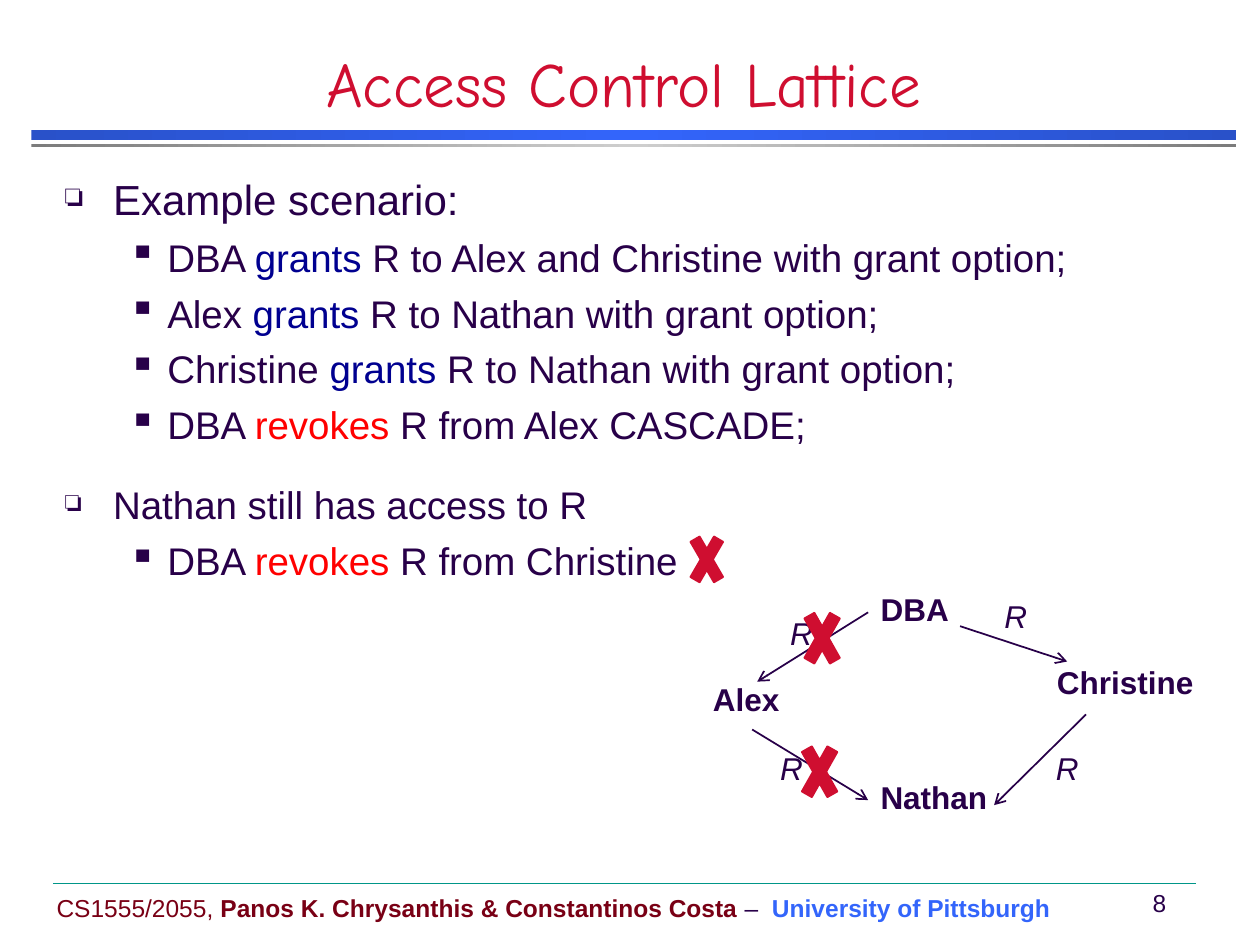
"""Build the Access Control Lattice slide."""
import copy
from dataclasses import dataclass

import lxml.etree
import pptx
import pptx.dml.color
import pptx.enum.dml
import pptx.enum.shapes
import pptx.enum.text
import pptx.oxml.ns
import pptx.util

Inches = pptx.util.Inches
Pt = pptx.util.Pt
ALIGN = pptx.enum.text.PP_ALIGN
ANCHOR = pptx.enum.text.MSO_ANCHOR
SHAPE = pptx.enum.shapes.MSO_SHAPE
qn = pptx.oxml.ns.qn

INK, RED, GRANT, REVOKE = "280049", "CF0E30", "000090", "FF0000"
MAROON, BLUE = "790015", "3365FB"


@dataclass
class Run:
    text: str
    color: str = INK
    bold: bool = False


@dataclass
class Item:
    runs: list[Run]
    level: int = 1
    size: int = 22
    before: float = 5.5


@dataclass
class Label:
    text: str
    left: float
    top: float
    width: float


@dataclass
class Line:
    start: tuple[float, float]
    end: tuple[float, float]
    color: str = INK
    weight: float = 1
    arrow: bool = True


@dataclass
class Rule:
    top: float
    height: float
    edge: str
    middle: str


@dataclass
class Cross:
    left: float
    top: float
    width: float = 0.39
    height: float = 0.69


def rgb(value: str) -> pptx.dml.color.RGBColor:
    return pptx.dml.color.RGBColor.from_string(value)


def add_text(left: float, top: float, width: float, height: float, wrap: bool = False, anchor=ANCHOR.TOP):
    frame = slide.shapes.add_textbox(Inches(left), Inches(top), Inches(width), Inches(height)).text_frame
    frame.word_wrap = wrap
    frame.vertical_anchor = anchor
    return frame


def write(paragraph, runs: list[Run], size: float, font: str = "Arial") -> None:
    paragraph.font.size = Pt(size)
    paragraph.font.name = font
    for part in runs:
        run = paragraph.add_run()
        run.text = part.text
        run.font.color.rgb = rgb(part.color)
        run.font.bold = part.bold


def add_bullet(paragraph, level: int) -> None:
    margin, hanging, char, percent = [(0.38, 0.38, "❏", 75), (0.81, 0.31, "▪", 100)][level]
    paragraph.level = level
    properties = paragraph._p.get_or_add_pPr()
    properties.set("marL", str(Inches(margin)))
    properties.set("indent", str(-Inches(hanging)))
    color = lxml.etree.SubElement(properties, qn("a:buClr"))
    lxml.etree.SubElement(color, qn("a:srgbClr"), val=INK)
    lxml.etree.SubElement(properties, qn("a:buSzPct"), val=str(percent * 1000))
    lxml.etree.SubElement(properties, qn("a:buChar"), char=char)


def add_label(label: Label, edge: bool = False) -> None:
    frame = add_text(label.left, label.top, label.width, 0.38)
    paragraph = frame.paragraphs[0]
    paragraph.alignment = ALIGN.RIGHT if edge else ALIGN.LEFT
    paragraph.line_spacing = 0.9
    paragraph.space_before = Pt(3.6)
    paragraph.font.italic = edge
    write(paragraph, [Run(label.text, bold=not edge)], 18)


def add_line(line: Line) -> None:
    connector = slide.shapes.add_connector(
        pptx.enum.shapes.MSO_CONNECTOR.STRAIGHT, *map(Inches, line.start + line.end))
    connector.line.color.rgb = rgb(line.color)
    connector.line.width = Pt(line.weight)
    if line.arrow:
        lxml.etree.SubElement(connector.line._get_or_add_ln(), qn("a:tailEnd"), type="arrow")
    lxml.etree.SubElement(connector._element.spPr, qn("a:effectLst"))


def add_rule(rule: Rule) -> None:
    bar = slide.shapes.add_shape(SHAPE.RECTANGLE, Inches(0.25), Inches(rule.top), Inches(9.56), Inches(rule.height))
    bar.shadow.inherit = False
    bar.line.fill.background()
    bar.fill.gradient()
    bar.fill.gradient_angle = 0
    stops = bar._element.spPr.find(qn("a:gradFill")).find(qn("a:gsLst"))
    stops.insert(1, copy.deepcopy(stops[0]))
    for stop, position, color in zip(bar.fill.gradient_stops, (0, 0.5, 1), (rule.edge, rule.middle, rule.edge)):
        stop.position = position
        stop.color.rgb = rgb(color)


def add_cross(cross: Cross) -> None:
    mark = slide.shapes.add_shape(
        SHAPE.MATH_MULTIPLY, Inches(cross.left), Inches(cross.top), Inches(cross.width), Inches(cross.height))
    mark.shadow.inherit = False
    mark.fill.solid()
    mark.fill.fore_color.rgb = rgb(RED)
    mark.line.color.rgb = rgb(RED)
    mark.line.width = Pt(1)


def action(actor: str, verb: str, rest: str) -> Item:
    return Item([Run(f"{actor} "), Run(verb, GRANT if verb == "grants" else REVOKE), Run(f" {rest}")])


presentation = pptx.Presentation()
presentation.slide_width, presentation.slide_height = Inches(10), Inches(7.5)
slide = presentation.slides.add_slide(presentation.slide_layouts[6])

for rule in (Rule(1.03, 0.08, "2951C9", BLUE), Rule(1.14, 0.03, "7C7C7C", "CECECE")):
    add_rule(rule)

footer = add_text(0.35, 7.04, 8.11, 0.33, anchor=ANCHOR.MIDDLE)
write(footer.paragraphs[0], [
    Run("CS1555/2055, ", MAROON),
    Run("Panos K. Chrysanthis & Constantinos Costa", MAROON, True),
    Run(" –  "),
    Run("University of Pittsburgh", BLUE, True),
], 14)
page_number = add_text(8.93, 7, 0.49, 0.33, anchor=ANCHOR.MIDDLE).paragraphs[0]
page_number.alignment = ALIGN.CENTER
write(page_number, [Run(" 8")], 14)
add_line(Line((0.42, 7.01), (9.49, 7.01), "009688", 0.25, False))

title = add_text(0, 0.42, 9.9, 0.58, True, ANCHOR.BOTTOM).paragraphs[0]
title.alignment = ALIGN.CENTER
write(title, [Run("Access Control Lattice", RED)], 36, "Comic Neue")

scenario = add_text(0.42, 1.33, 8.5, 3.47, True)
for index, item in enumerate([
    Item([Run("Example scenario:")], 0, 24, 2),
    action("DBA", "grants", "R to Alex and Christine with grant option;"),
    action("Alex", "grants", "R to Nathan with grant option;"),
    action("Christine", "grants", "R to Nathan with grant option;"),
    action("DBA", "revokes", "R from Alex CASCADE;"),
    Item([Run("Nathan still has access to R")], 0, before=19.3),
    action("DBA", "revokes", "R from Christine"),
]):
    entry = scenario.add_paragraph() if index else scenario.paragraphs[0]
    entry.space_before = Pt(item.before)
    add_bullet(entry, item.level)
    write(entry, item.runs, item.size)

for user in (Label("DBA", 6.89, 4.67, 0.75), Label("Alex", 5.56, 5.38, 0.75),
             Label("Christine", 8.29, 5.25, 1.3), Label("Nathan", 6.89, 6.16, 1.06)):
    add_label(user)
for grant in (Line((6.89, 4.86), (6.01, 5.41)), Line((8.62, 5.67), (7.89, 6.39)),
              Line((7.62, 4.97), (8.47, 5.25)), Line((5.97, 5.79), (6.89, 6.35))):
    add_line(grant)
for left, top in ((6.11, 4.86), (7.81, 4.72), (6.03, 5.93), (8.22, 5.93)):
    add_label(Label("R", left, top, 0.44), edge=True)
for revocation in (Cross(6.33, 4.72), Cross(6.31, 5.78), Cross(5.43, 4.13, 0.36, 0.62)):
    add_cross(revocation)

presentation.save("out.pptx")
